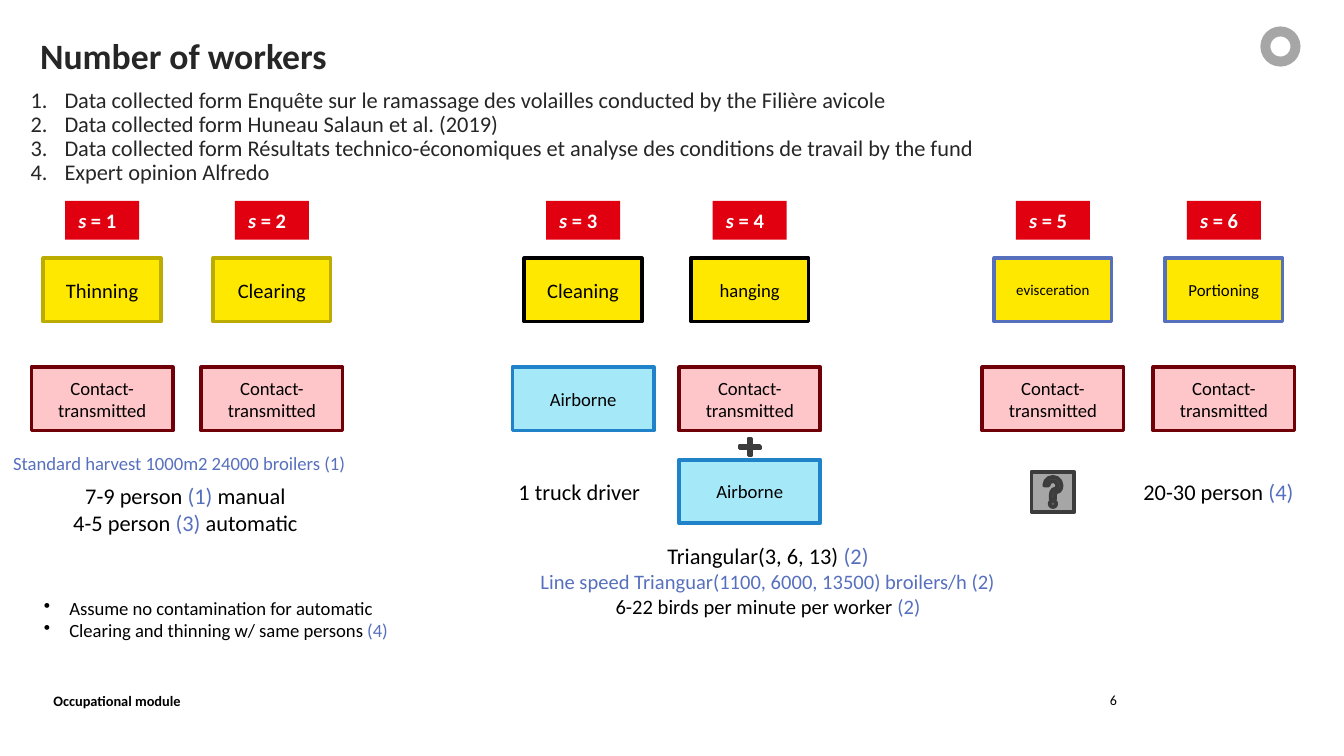
from lxml import etree
from pptx import Presentation
from pptx.dml.color import RGBColor
from pptx.enum import shapes, text
from pptx.oxml import ns
from pptx.util import Cm, Pt

# Content: runs alternate between plain text and blue reference
TITLE = "Number of workers"
SOURCES = [
    ("Data collected form Enquête sur le ramassage des volailles conducted by the Filière avicole",),
    ("Data collected form Huneau Salaun et al. (2019)",),
    ("Data collected form Résultats technico-économiques et analyse des conditions de travail by the fund",),
    ("Expert opinion Alfredo",),
]
# Steps: centre x, name, type size, border, route
STEPS = [
    (1.93, "Thinning", 11, "farm", "contact"),
    (5.14, "Clearing", 11, "farm", "contact"),
    (11.02, "Cleaning", 11, "black", "air"),
    (14.17, "hanging", 10, "black", "contact"),
    (19.9, "evisceration", 8, "blue", "contact"),
    (23.13, "Portioning", 9, "blue", "contact"),
]
ROUTES = {"contact": "Contact-transmitted", "air": "Airborne"}
# Notes: left, top, width, height, alignment, sizes, lines
NOTES = [
    (0, 8.41, 8.31, 0.69, "LEFT", [10], [("", "Standard harvest 1000m2 24000 broilers (1)")]),
    (0.61, 8.99, 5.79, 1.27, "CENTER", [12, 12],
     [("7-9 person ", "(1) ", "manual"), ("4-5 person ", "(3) ", "automatic")]),
    (9.55, 8.92, 3.35, 0.76, "LEFT", [12], [("1 truck driver",)]),
    (21.36, 8.92, 4.04, 0.76, "LEFT", [12], [("20-30 person ", "(4)")]),
    (8.94, 10.13, 11.15, 2.24, "CENTER", [12, 11, 11],
     [("Triangular(3, 6, 13) ", "(2)"),
      ("", "Line speed Trianguar(1100, 6000, 13500) broilers/h (2)"),
      ("6-22 birds per minute per worker", " (2)")]),
]
ASSUME = [("Assume no contamination for automatic",),
          ("Clearing and thinning w/ same persons ", "(4)")]

THEME = {
    "font": "Calibri", "title": 19.1, "body": 12, "label": 11, "small": 10,
    "foot": 7.7, "page": 7.5, "edge": 2,
    "black": "000000", "white": "FFFFFF", "ink": "262626", "dark": "3C3C3C",
    "blue": "5770BE", "red": "E1000F", "step": "FFE800", "farm": "BDAC00",
    "contact": ("FFC6CA", "700007"), "air": ("A5E9F9", "2082C8"), "grey": "A6A6A6",
}
KIND = shapes.MSO_SHAPE
ALIGN = text.PP_ALIGN


def hue(key):
    return RGBColor.from_string(THEME.get(key, key))


def write(shape, lines, sizes, align="LEFT", color="black", bold=None,
          mark=None, hang=0, space=None):
    frame = shape.text_frame
    for i, (runs, size) in enumerate(zip(lines, sizes)):
        para = frame.paragraphs[0] if i == 0 else frame.add_paragraph()
        para.alignment = getattr(ALIGN, align)
        if space:
            para.line_spacing = space
        if mark:
            props = para._p.get_or_add_pPr()
            props.set("marL", str(Cm(hang)))
            props.set("indent", str(-Cm(hang)))
            tag, key, value = mark
            etree.SubElement(props, ns.qn(tag)).set(key, value)
        font = para.font
        font.name, font.size, font.bold = THEME["font"], Pt(size), bold
        font.color.rgb = hue(color)
        for k, words in enumerate(runs):
            if words:
                run = para.add_run()
                run.text = words
                if k % 2:
                    run.font.color.rgb = hue("blue")


def note(x, y, w, h, lines, sizes, pad=True, **style):
    box = slide.shapes.add_textbox(Cm(x), Cm(y), Cm(w), Cm(h))
    frame = box.text_frame
    frame.word_wrap = True
    if not pad:
        frame.margin_left = frame.margin_right = 0
        frame.margin_top = frame.margin_bottom = 0
    write(box, lines, sizes, **style)
    return box


def block(mid, y, w, h, fill, edge=None, kind=KIND.RECTANGLE):
    shape = slide.shapes.add_shape(kind, Cm(mid - w / 2), Cm(y), Cm(w), Cm(h))
    shape.shadow.inherit = False
    shape.fill.solid()
    shape.fill.fore_color.rgb = hue(fill)
    if edge:
        shape.line.color.rgb = hue(edge)
        shape.line.width = Pt(THEME["edge"])
    else:
        shape.line.fill.background()
    shape.text_frame.vertical_anchor = text.MSO_ANCHOR.MIDDLE
    return shape


def route(mid, y, key):
    box = block(mid, y, 2.67, 1.2, *THEME[key])
    write(box, [(ROUTES[key],)], [THEME["small"]], align="CENTER")


deck = Presentation()
deck.slide_width, deck.slide_height = Cm(25.4), Cm(14.29)
slide = deck.slides.add_slide(deck.slide_layouts[6])

# Heading, sources and plain emblem
note(0.76, 0.74, 22.66, 0.9, [(TITLE,)], [THEME["title"]], pad=False,
     color="ink", bold=True, space=0.9)
note(0.58, 1.68, 24.74, 1.78, SOURCES, [THEME["body"]] * 4, pad=False,
     color="ink", space=0.9, hang=0.64,
     mark=("a:buAutoNum", "type", "arabicPeriod"))
block(24.2, 0.5, 0.76, 0.76, "grey", kind=KIND.DONUT)

# Step columns: label, name, route
for num, (mid, name, size, edge, key) in enumerate(STEPS, 1):
    label = block(mid, 3.8, 1.4, 0.73, "red")
    write(label, [("s",)], [THEME["label"]], color="white", bold=True)
    para = label.text_frame.paragraphs[0]
    para.runs[0].font.italic = True
    para.add_run().text = f" = {num}"
    write(block(mid, 4.88, 2.22, 1.2, "step", edge), [(name,)], [size], align="CENTER")
    route(mid, 6.94, key)

# Second route for hanging, unknown count for evisceration
route(STEPS[3][0], 8.69, "air")
plus = block(STEPS[3][0], 8.24, 0.53, 0.43, "black", "dark", KIND.MATH_PLUS)
plus.adjustments[0] = 0.11
block(STEPS[4][0], 8.92, 0.81, 0.76, "grey", "dark", KIND.ACTION_BUTTON_HELP)

# Worker counts and assumptions
for x, y, w, h, align, sizes, lines in NOTES:
    note(x, y, w, h, lines, sizes, align=align)
note(0.58, 11.15, 9.5, 1.12, ASSUME, [THEME["small"]] * 2, hang=0.48,
     mark=("a:buChar", "char", "•"))

# Footer
foot = note(0.76, 12.95, 8.59, 0.58, [("Occupational module",)], [THEME["foot"]], bold=True)
foot.text_frame.vertical_anchor = text.MSO_ANCHOR.BOTTOM
note(17.6, 12.95, 3.76, 0.58, [("6",)], [THEME["page"]], align="RIGHT")

deck.save("out.pptx")
